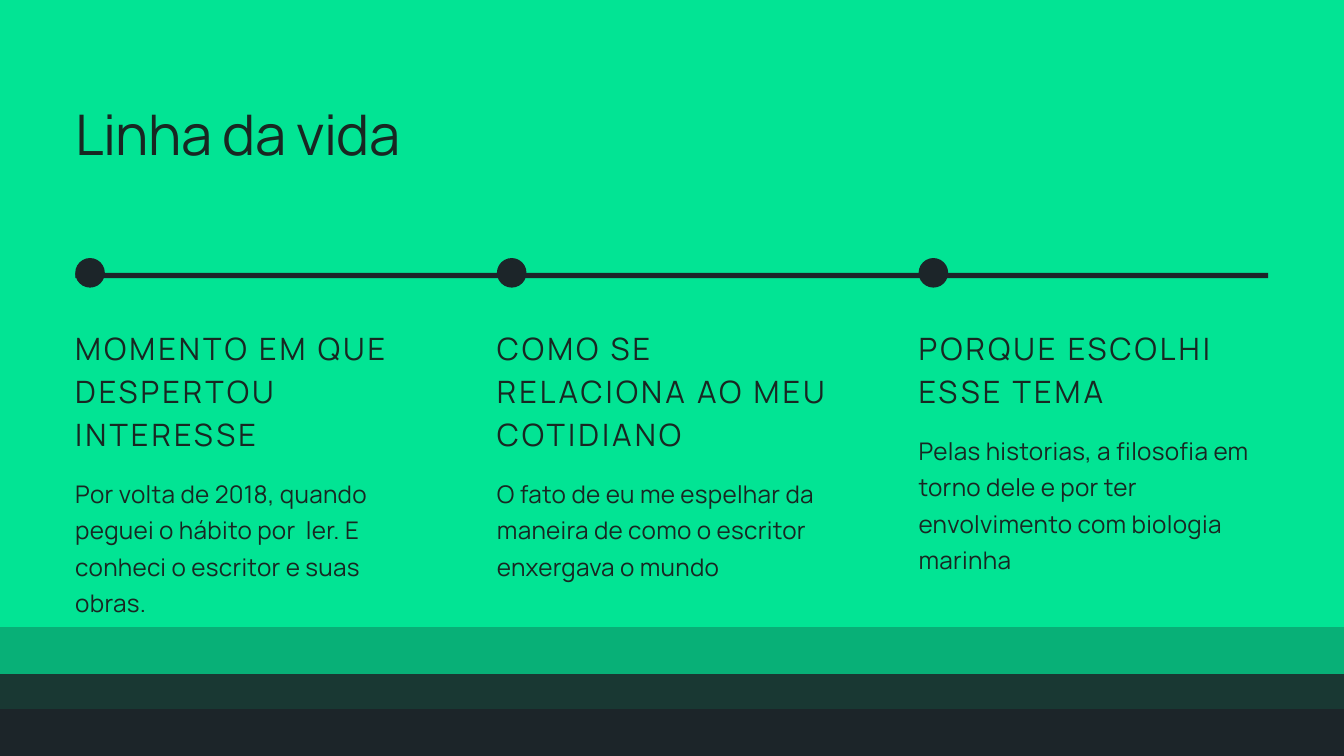
from dataclasses import dataclass

import pptx
import pptx.dml.color
import pptx.enum.shapes
import pptx.enum.text
import pptx.oxml
import pptx.oxml.ns
import pptx.util

Inches = pptx.util.Inches
Pt = pptx.util.Pt
RGBColor = pptx.dml.color.RGBColor
MSO_SHAPE = pptx.enum.shapes.MSO_SHAPE

GREEN = RGBColor(0x02, 0xE4, 0x94)
DARK = RGBColor(0x1C, 0x25, 0x29)
INK = RGBColor(0x18, 0x27, 0x22)

LEFT = 1.12
COLUMN_STEP = 6.275
COLUMN_WIDTH = 5.2
HEADING_TOP = 4.81
HEADING_LINE = 0.64
BODY_LINE = 0.54
BODY_GAP = 0.29
DOT_SIZE = 0.44


@dataclass
class Band:
    top: float
    opacity: int


@dataclass
class Milestone:
    heading: str
    heading_lines: int
    body: str
    body_lines: int


@dataclass
class TextStyle:
    size: float
    leading: float
    tracking: float


TITLE = TextStyle(60, 72, -0.6)
HEADING = TextStyle(33, 46.2, 3.3)
BODY = TextStyle(26, 39, 0.3)

BANDS = [Band(0.03, 10), Band(-0.49, 70), Band(-1.19, 100)]

MILESTONES = [
    Milestone("MOMENTO EM QUE DESPERTOU INTERESSE", 3,
              "Por volta de 2018, quando peguei o hábito por  ler. "
              "E conheci o escritor e suas obras.", 4),
    Milestone("COMO SE RELACIONA AO MEU COTIDIANO", 3,
              "O fato de eu me espelhar da maneira de como "
              "o escritor enxergava o mundo", 3),
    Milestone("PORQUE ESCOLHI ESSE TEMA", 2,
              "Pelas historias, a filosofia em torno dele e por ter "
              "envolvimento com biologia marinha", 4),
]


def add_solid(s: pptx.slide.Slide, kind: MSO_SHAPE, left: float, top: float,
              width: float, height: float, color: RGBColor, opacity: int = 100) -> None:
    sp = s.shapes.add_shape(kind, Inches(left), Inches(top), Inches(width), Inches(height))
    sp.shadow.inherit = False
    sp.line.fill.background()
    sp.fill.solid()
    sp.fill.fore_color.rgb = color
    if opacity < 100:
        clr = sp.element.spPr.find(".//" + pptx.oxml.ns.qn("a:srgbClr"))
        alpha = pptx.oxml.parse_xml(f'<a:alpha {pptx.oxml.ns.nsdecls("a")} val="{opacity * 1000}"/>')
        clr.append(alpha)


def write_text(sp: pptx.shapes.base.BaseShape, text: str, style: TextStyle) -> None:
    tf = sp.text_frame
    frame_format = {
        "margin_left": 0, "margin_top": 0, "margin_right": 0, "margin_bottom": 0,
        "word_wrap": True,
        "auto_size": pptx.enum.text.MSO_AUTO_SIZE.NONE,
        "vertical_anchor": pptx.enum.text.MSO_ANCHOR.TOP,
    }
    for name, value in frame_format.items():
        setattr(tf, name, value)
    p = tf.paragraphs[0]
    p.alignment = pptx.enum.text.PP_ALIGN.LEFT
    p.line_spacing = Pt(style.leading)
    r = p.add_run()
    r.text = text
    for name, value in {"name": "Manrope", "size": Pt(style.size)}.items():
        setattr(r.font, name, value)
    r.font.color.rgb = INK
    r._r.get_or_add_rPr().set("spc", str(round(style.tracking * 100)))


def add_text(s: pptx.slide.Slide, left: float, top: float, height: float,
             text: str, style: TextStyle) -> None:
    sp = s.shapes.add_textbox(Inches(left), Inches(top), Inches(COLUMN_WIDTH), Inches(height))
    write_text(sp, text, style)


def add_title(s: pptx.slide.Slide, text: str) -> None:
    sp = s.shapes.title
    sp.element.getparent().append(sp.element)
    box = {"left": LEFT, "top": 1.48, "width": 15.19, "height": 1.01}
    for name, value in box.items():
        setattr(sp, name, Inches(value))
    write_text(sp, text, TITLE)


def add_milestone(s: pptx.slide.Slide, left: float, m: Milestone) -> None:
    heading_height = m.heading_lines * HEADING_LINE
    add_text(s, left, HEADING_TOP, heading_height - 0.05, m.heading, HEADING)
    add_text(s, left, HEADING_TOP + heading_height + BODY_GAP,
             m.body_lines * BODY_LINE - 0.03, m.body, BODY)
    add_solid(s, MSO_SHAPE.OVAL, left, 3.84, DOT_SIZE, DOT_SIZE, DARK)


def main() -> None:
    prs = pptx.Presentation()
    prs.slide_width, prs.slide_height = Inches(20), Inches(11.25)
    s = prs.slides.add_slide(prs.slide_layouts[5])
    s.background.fill.solid()
    s.background.fill.fore_color.rgb = DARK
    for band in BANDS:
        add_solid(s, MSO_SHAPE.RECTANGLE, -0.31, band.top, 20.62, 10.52, GREEN, band.opacity)
    add_title(s, "Linha da vida")
    add_solid(s, MSO_SHAPE.RECTANGLE, LEFT, 4.06, 17.75, 0.08, DARK)
    for i, milestone in enumerate(MILESTONES):
        add_milestone(s, LEFT + i * COLUMN_STEP, milestone)
    prs.save("out.pptx")


if __name__ == "__main__":
    main()
